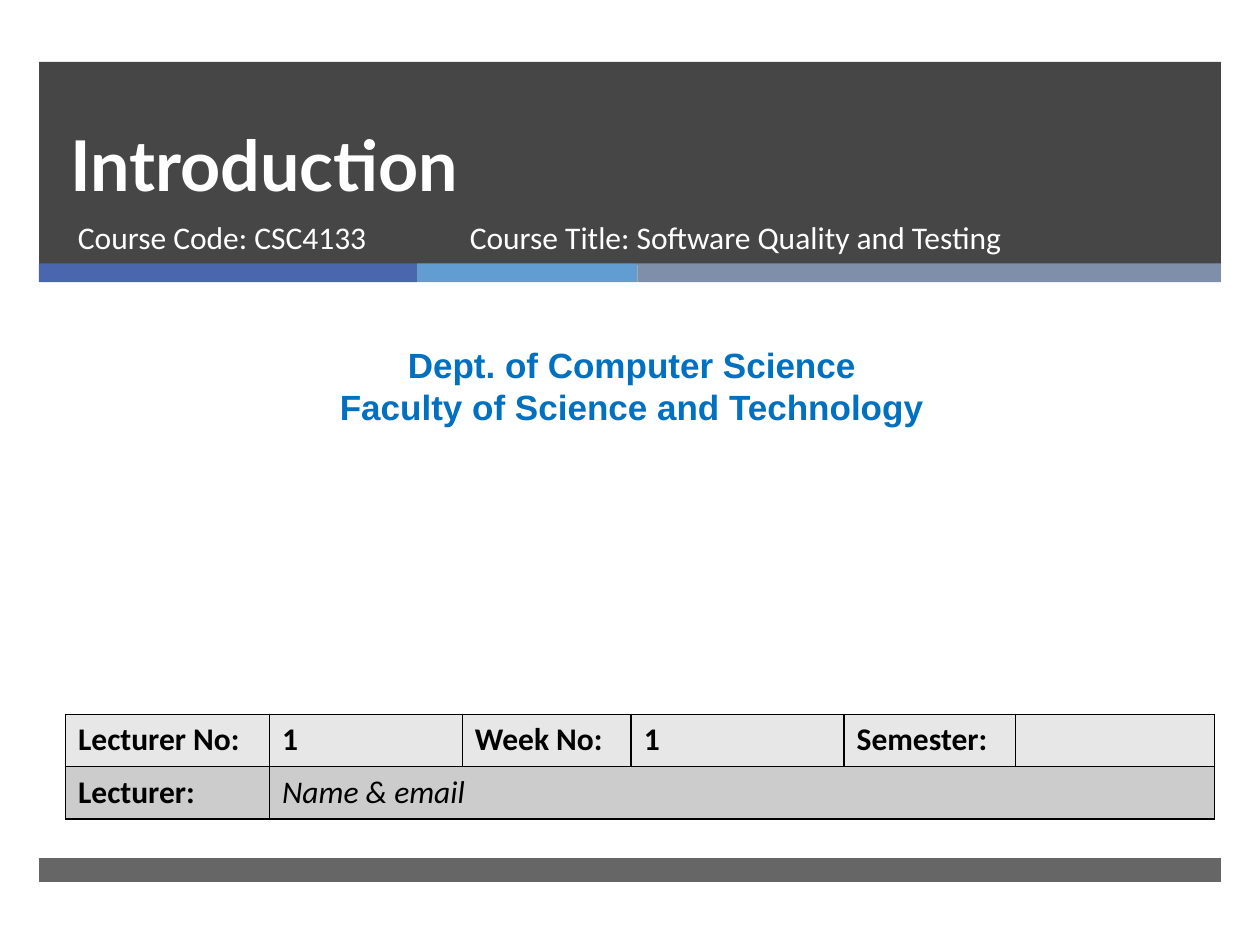
from lxml import etree
from pptx import Presentation
from pptx.dml.color import RGBColor
from pptx.enum.shapes import MSO_SHAPE
from pptx.enum.text import MSO_ANCHOR, MSO_AUTO_SIZE, PP_ALIGN
from pptx.oxml.ns import qn
from pptx.util import Inches, Pt

WHITE, BLACK, CHARCOAL = "FFFFFF", "000000", "262626"
BAND_LEFT, BAND_WIDTH = 0.31, 9.38


def paint(fill, color):
    fill.solid()
    fill.fore_color.rgb = RGBColor.from_string(color)


def place(shape, left, top, width, height):
    shape.left, shape.top = Inches(left), Inches(top)
    shape.width, shape.height = Inches(width), Inches(height)


def style_text(frame, size, font, color, bold=False, italic=False, align=PP_ALIGN.LEFT):
    for paragraph in frame.paragraphs:
        paragraph.alignment = align
        for run in paragraph.runs:
            run.font.size = Pt(size)
            run.font.name = font
            run.font.bold = bold
            run.font.italic = italic
            run.font.color.rgb = RGBColor.from_string(color)


def add_band(slide, left, top, width, height, color, opacity=100):
    band = slide.shapes.add_shape(
        MSO_SHAPE.RECTANGLE, Inches(left), Inches(top), Inches(width), Inches(height))
    band.shadow.inherit = False
    band.line.fill.background()
    paint(band.fill, color)
    if opacity < 100:
        tint = band.fill._xPr.find(qn("a:solidFill"))[0]
        etree.SubElement(tint, qn("a:alpha")).set("val", str(opacity * 1000))


def add_text(slide, text, left, top, width, height, **style):
    box = slide.shapes.add_textbox(
        Inches(left), Inches(top), Inches(width), Inches(height))
    box.text_frame.word_wrap = True
    box.text_frame.text = text
    style_text(box.text_frame, **style)


def set_title(slide, text):
    title = slide.shapes.title
    slide.shapes._spTree.append(title._element)
    place(title, 0.46, 0.87, 8.54, 0.81)
    frame = title.text_frame
    frame.text = text
    frame.auto_size = MSO_AUTO_SIZE.NONE
    frame.vertical_anchor = MSO_ANCHOR.BOTTOM
    frame.paragraphs[0].line_spacing = Pt(46)
    style_text(frame, 40, "Lato", WHITE, bold=True)


def add_borders(cell, color):
    properties = cell._tc.get_or_add_tcPr()
    for position, side in enumerate(("a:lnL", "a:lnR", "a:lnT", "a:lnB")):
        line = etree.Element(qn(side), w=str(Pt(1)))
        fill = etree.SubElement(line, qn("a:solidFill"))
        etree.SubElement(fill, qn("a:srgbClr"), val=color)
        properties.insert(position, line)


def add_lecture_table(slide):
    rows = [["Lecturer No:", "1", "Week No:", "1", "Semester:", ""],
            ["Lecturer:", "Name & email", "", "", "", ""]]
    row_fills = ["E7E7E7", "CCCCCC"]
    widths = [1.62, 1.53, 1.34, 1.69, 1.36, 1.58]
    table = slide.shapes.add_table(
        len(rows), len(widths), Inches(0.52), Inches(5.67),
        Inches(sum(widths)), Inches(0.83)).table
    for column, width in zip(table.columns, widths):
        column.width = Inches(width)
    for r, (texts, fill) in enumerate(zip(rows, row_fills)):
        for c, text in enumerate(texts):
            cell = table.cell(r, c)
            cell.text = text
            paint(cell.fill, fill)
            add_borders(cell, BLACK)
            contact = text == "Name & email"
            style_text(cell.text_frame, 18, "Calibri", BLACK,
                       bold=not contact, italic=contact)
    table.cell(1, 1).merge(table.cell(1, 5))


def main():
    deck = Presentation()
    deck.slide_width, deck.slide_height = Inches(10), Inches(7.5)
    slide = deck.slides.add_slide(deck.slide_layouts[5])

    add_band(slide, BAND_LEFT, 0.49, BAND_WIDTH, 1.61, CHARCOAL, 85)
    left = BAND_LEFT
    for width, color in [(3, "4A66AC"), (1.75, "629DD1"), (4.63, "7F8FA9")]:
        add_band(slide, left, 2.09, width, 0.15, color)
        left += width
    add_band(slide, BAND_LEFT, 6.81, BAND_WIDTH, 0.19, CHARCOAL, 70)

    set_title(slide, "Introduction")
    course_style = dict(size=18, font="Calibri", color=WHITE)
    add_text(slide, "Course Code: CSC4133", 0.52, 1.68, 3.05, 0.53, **course_style)
    add_text(slide, "Dept. of Computer Science\nFaculty of Science and Technology",
             0.08, 2.68, 9.87, 0.77, size=20, font="Arial", color="0070C0",
             bold=True, align=PP_ALIGN.CENTER)
    add_lecture_table(slide)
    add_text(slide, "Course Title: Software Quality and Testing",
             3.63, 1.68, 4.55, 0.53, **course_style)

    deck.save("out.pptx")


main()
